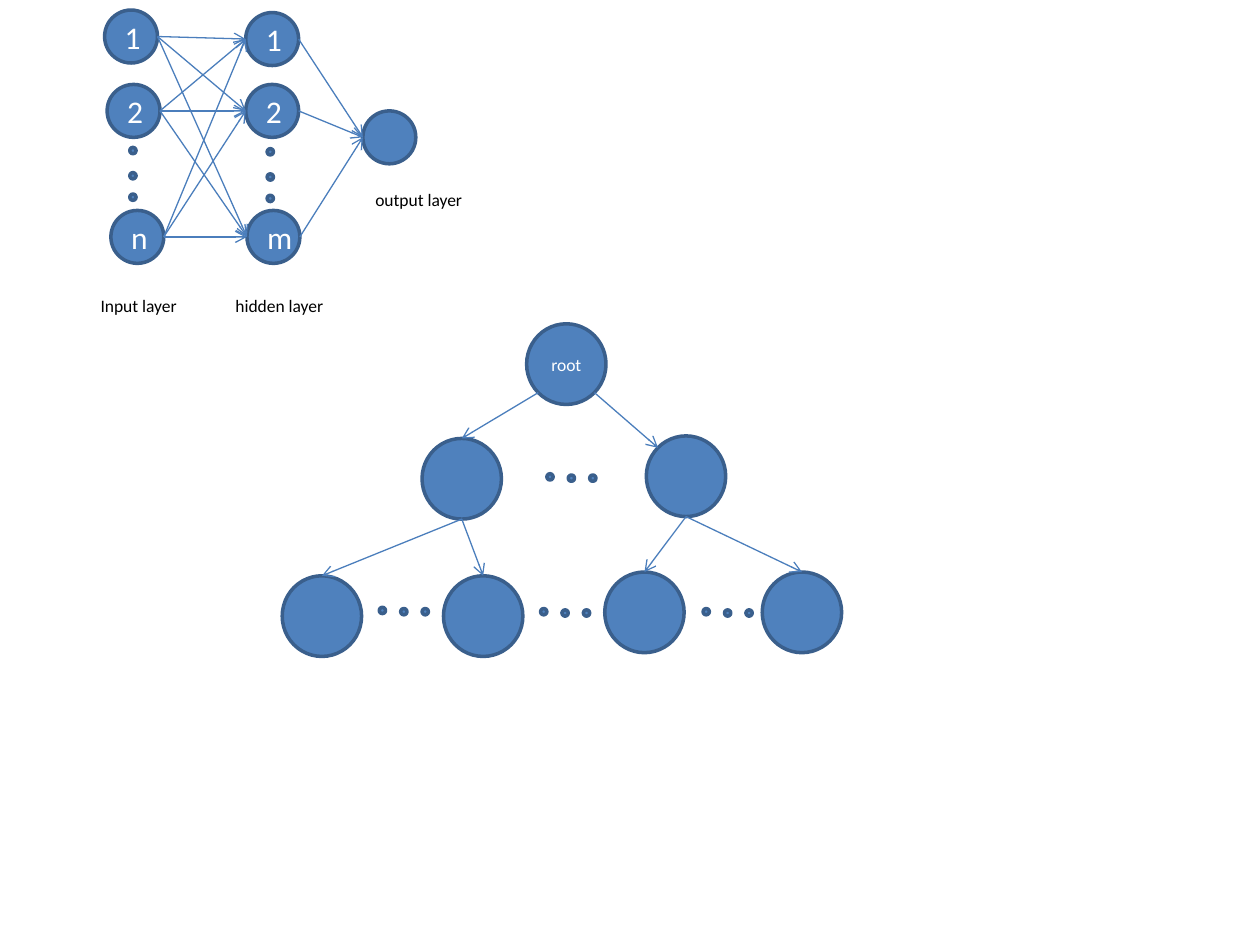
from itertools import product
from math import cos, radians, sin

from lxml.etree import SubElement
from pptx import Presentation
from pptx.dml.color import RGBColor
from pptx.enum.shapes import MSO_CONNECTOR, MSO_SHAPE
from pptx.enum.text import MSO_ANCHOR, MSO_AUTO_SIZE, PP_ALIGN
from pptx.oxml.ns import qn
from pptx.util import Inches, Pt

COLORS = {"fill": "4F81BD", "outline": "3A5F8C", "arrow": "4B7EBC",
          "light": "FFFFFF", "dark": "000000"}
FONT = "Calibri"
UNIT, DOT = 0.42, 0.05
NODE_W, NODE_H = 0.63, 0.64
TOP, LEFT, BOTTOM, RIGHT = 270, 180, 90, 0
LOWER_LEFT, LOWER_RIGHT, UPPER_LEFT = 135, 45, 225


def rgb(name):
    """Return the named colour."""
    return RGBColor.from_string(COLORS[name])


def set_text(tf, text, size, color, align=PP_ALIGN.LEFT):
    """Write one formatted paragraph."""
    p = tf.paragraphs[0]
    p.text = text
    p.alignment = align
    font = p.runs[0].font
    font.name, font.size = FONT, Pt(size)
    font.color.rgb = rgb(color)


def add_circle(s, x, y, w, h, text="", size=18):
    """Add a filled circle with an optional centred label."""
    sp = s.shapes.add_shape(MSO_SHAPE.OVAL, Inches(x), Inches(y), Inches(w), Inches(h))
    sp.shadow.inherit = False
    sp.fill.solid()
    sp.fill.fore_color.rgb = rgb("fill")
    sp.line.color.rgb = rgb("outline")
    sp.line.width = Pt(2)
    if text:
        sp.text_frame.vertical_anchor = MSO_ANCHOR.MIDDLE
        set_text(sp.text_frame, text, size, "light", PP_ALIGN.CENTER)
    return sp


def add_dots(s, points):
    """Add the dots of an ellipsis."""
    for x, y in points:
        add_circle(s, x, y, DOT, DOT)


def add_label(s, x, y, w, text):
    """Add a layer caption."""
    tf = s.shapes.add_textbox(Inches(x), Inches(y), Inches(w), Inches(0.27)).text_frame
    tf.word_wrap = True
    tf.auto_size = MSO_AUTO_SIZE.SHAPE_TO_FIT_TEXT
    set_text(tf, text, 10, "dark")


def rim(sp, angle):
    """Return the point on a circle's rim at a clockwise angle."""
    t = radians(angle)
    return (round(sp.left + sp.width * (1 + cos(t)) / 2),
            round(sp.top + sp.height * (1 + sin(t)) / 2))


def add_arrow(s, source, start, target, end):
    """Join the rims of two circles with an arrow."""
    line = s.shapes.add_connector(MSO_CONNECTOR.STRAIGHT,
                                  *rim(source, start), *rim(target, end))
    line.line.color.rgb = rgb("arrow")
    line.line.width = Pt(0.75)
    SubElement(line.line._get_or_add_ln(), qn("a:tailEnd"), type="arrow")
    SubElement(line._element.spPr, qn("a:effectLst"))


def add_network(s, x, y):
    """Draw the layered network with its top left corner at x, y."""
    def add_layer(units):
        return [add_circle(s, x + dx, y + dy, UNIT, UNIT, text) for text, dx, dy in units]

    inputs = add_layer([("1", 0.13, 0), ("2", 0.15, 0.59), ("n", 0.18, 1.59)])
    hidden = add_layer([("1", 1.25, 0.02), ("2", 1.25, 0.59), ("m", 1.26, 1.59)])
    output, = add_layer([("", 2.18, 0.8)])
    for dx, dy in ((0.33, 1.09), (1.42, 1.1)):
        add_dots(s, [(x + dx, y + dy + step) for step in (0, 0.2, 0.37)])
    for source, target in [*product(inputs, hidden), *product(hidden, [output])]:
        add_arrow(s, source, RIGHT, target, LEFT)
    for text, dx, dy, w in (("Input layer", 0, 2.21, 0.9),
                            ("hidden layer", 1.07, 2.21, 0.9),
                            ("output layer", 2.18, 1.37, 1.02)):
        add_label(s, x + dx, y + dy, w, text)


def add_tree(s, x, y):
    """Draw the tree with its top left corner at x, y."""
    def add_node(dx, dy, text=""):
        return add_circle(s, x + dx, y + dy, NODE_W, NODE_H, text, 10)

    root = add_node(1.94, 0, "root")
    left, right = add_node(1.11, 0.91), add_node(2.89, 0.89)
    leaves = [add_node(dx, dy) for dx, dy in
              ((0, 2), (1.28, 2), (2.56, 1.97), (3.81, 1.97))]
    for dx, dy in ((2.1, 1.19), (0.77, 2.25), (2.05, 2.26), (3.34, 2.26)):
        add_dots(s, [(x + dx + 0.17 * i, y + dy + 0.01 * min(i, 1)) for i in range(3)])
    add_arrow(s, root, LOWER_LEFT, left, TOP)
    add_arrow(s, root, LOWER_RIGHT, right, UPPER_LEFT)
    for parent, leaf in zip((left, left, right, right), leaves):
        add_arrow(s, parent, BOTTOM, leaf, TOP)


def main():
    """Build the slide."""
    prs = Presentation()
    prs.slide_width, prs.slide_height = Inches(10), Inches(7.5)
    s = prs.slides.add_slide(prs.slide_layouts[6])
    add_network(s, 0.7, 0.08)
    add_tree(s, 2.24, 2.57)
    prs.save("out.pptx")


if __name__ == "__main__":
    main()
